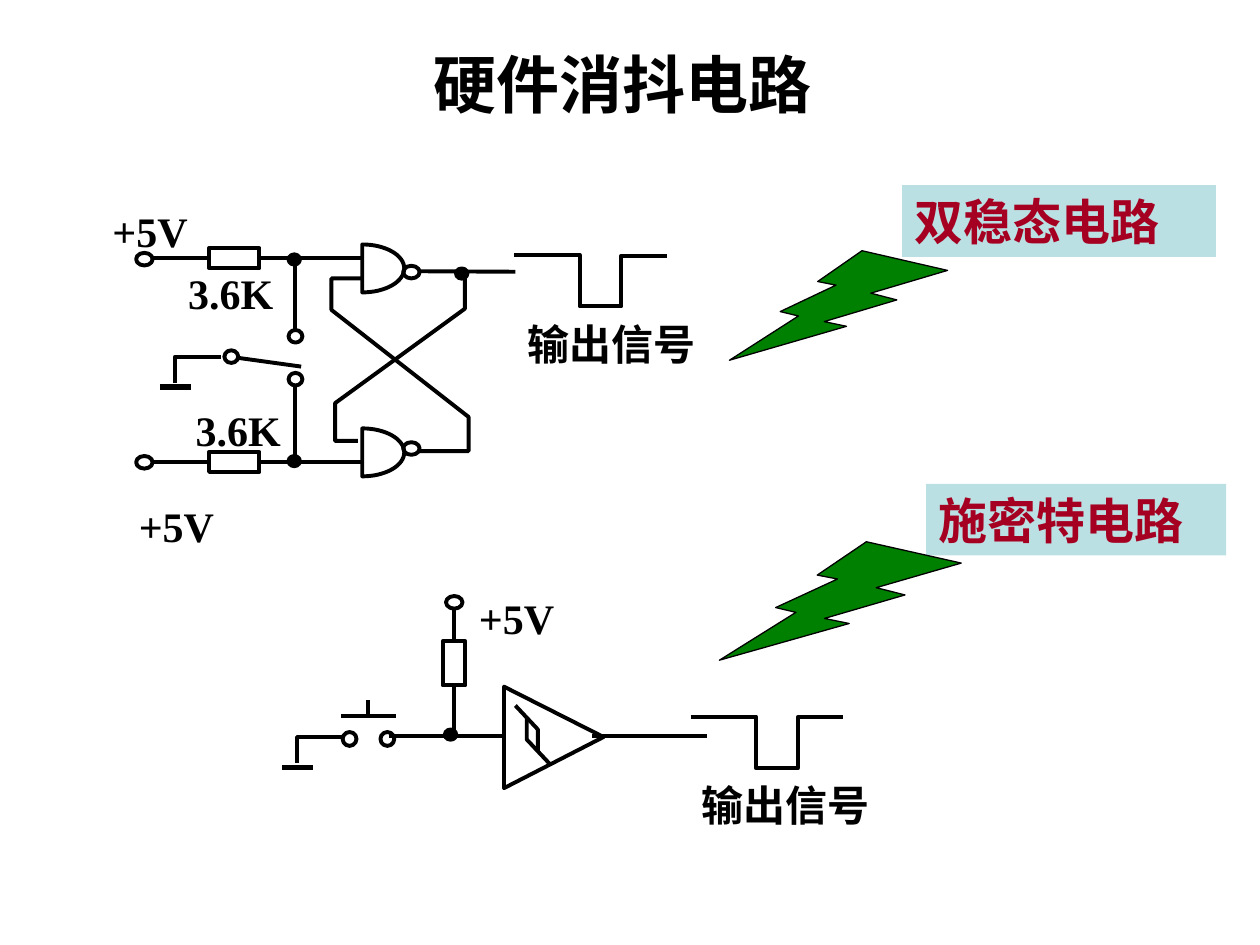
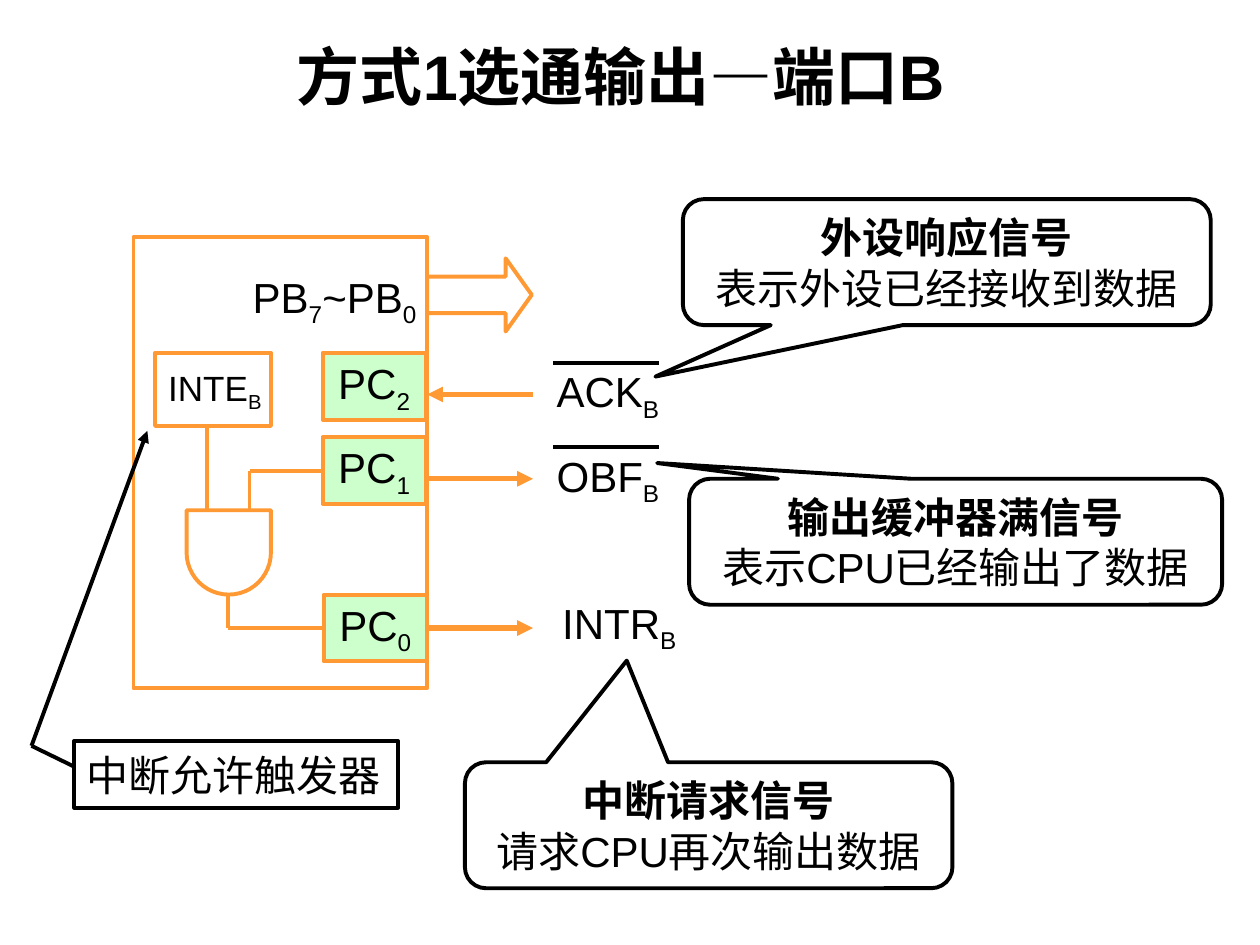
from dataclasses import dataclass, replace
from math import cos, pi, sin

from lxml.etree import SubElement
from pptx import Presentation
from pptx.dml.color import RGBColor
from pptx.enum.shapes import MSO_CONNECTOR, MSO_SHAPE as Geo
from pptx.enum.text import MSO_ANCHOR as Anchor, PP_ALIGN as Align
from pptx.oxml.ns import qn
from pptx.shapes.autoshape import Shape
from pptx.shapes.connector import Connector
from pptx.slide import Slide
from pptx.text.text import TextFrame
from pptx.util import Pt

Point = tuple[float, float]
Joint = tuple[Shape, int]
TOP, LEFT, BOTTOM, RIGHT = range(4)


@dataclass(frozen=True)
class Theme:
    black: str = "000000"
    white: str = "FFFFFF"
    orange: str = "FF9933"
    mint: str = "CCFFCC"
    pale_blue: str = "BBE0E3"
    crimson: str = "A50021"
    green: str = "008000"
    title_size: float = 36
    heading_size: float = 28
    body_size: float = 24
    small_size: float = 20
    hairline: float = 0.75
    line: float = 2.25
    heavy: float = 3


THEME = Theme()


@dataclass(frozen=True)
class TextStyle:
    size: float = THEME.body_size
    font: str = "Arial"
    color: str = THEME.black
    bold: bool = False
    align: Align = Align.CENTER
    anchor: Anchor = Anchor.MIDDLE
    wrap: bool = False
    inset: Point = (7.2, 3.6)


BODY = TextStyle()
SMALL = TextStyle(size=THEME.small_size)
LEFT_BODY = TextStyle(align=Align.LEFT)
TITLE = TextStyle(size=THEME.title_size, bold=True, wrap=True)
PART = TextStyle(font="Times New Roman", bold=True, anchor=Anchor.TOP,
                 wrap=True, inset=(0.72, 0.72))
HEADING = TextStyle(THEME.heading_size, "Roboto", THEME.crimson, True,
                    Align.LEFT, Anchor.TOP, True)


@dataclass(frozen=True)
class Box:
    x: float
    y: float
    w: float
    h: float


@dataclass(frozen=True)
class Label:
    text: str
    box: Box
    style: TextStyle = BODY


@dataclass(frozen=True)
class Callout:
    heading: str
    detail: str
    box: Box
    tip: Point


def emu(box: Box) -> tuple[Pt, Pt, Pt, Pt]:
    return Pt(box.x), Pt(box.y), Pt(box.w), Pt(box.h)


def write(tf: TextFrame, lines: list[str], styles: list[TextStyle]) -> None:
    first = styles[0]
    tf.word_wrap = first.wrap
    tf.vertical_anchor = first.anchor
    tf.margin_left = tf.margin_right = Pt(first.inset[0])
    tf.margin_top = tf.margin_bottom = Pt(first.inset[1])
    for i, (line, style) in enumerate(zip(lines, styles)):
        p = tf.add_paragraph() if i else tf.paragraphs[0]
        p.alignment = style.align
        p.font.name, p.font.size, p.font.bold = style.font, Pt(style.size), style.bold
        p.font.color.rgb = RGBColor.from_string(style.color)
        for n, part in enumerate(line.split("_")):
            if part:
                r = p.add_run()
                r.text = part
                if n % 2:
                    r._r.get_or_add_rPr().set("baseline", "-25000")


def add_label(s: Slide, label: Label) -> None:
    write(s.shapes.add_textbox(*emu(label.box)).text_frame, [label.text], [label.style])


def paint(sp: Shape, fill: str | None, line: str | None, width: float) -> Shape:
    sp.shadow.inherit = False
    if fill:
        sp.fill.solid()
        sp.fill.fore_color.rgb = RGBColor.from_string(fill)
    else:
        sp.fill.background()
    if line:
        sp.line.color.rgb = RGBColor.from_string(line)
        sp.line.width = Pt(width)
    else:
        sp.line.fill.background()
    return sp


def add_geo(s: Slide, geo: Geo, box: Box, fill: str | None = None,
            line: str | None = THEME.black, width: float = THEME.line,
            adjust: tuple[float, ...] = ()) -> Shape:
    sp = s.shapes.add_shape(geo, *emu(box))
    for i, value in enumerate(adjust):
        sp.adjustments[i] = value
    return paint(sp, fill, line, width)


def add_polyline(s: Slide, points: list[Point], close: bool = False) -> None:
    start, *rest = [(Pt(x), Pt(y)) for x, y in points]
    builder = s.shapes.build_freeform(*start)
    builder.add_line_segments(rest, close=close)
    paint(builder.convert_to_shape(), None, THEME.black, THEME.line)


def add_wire(s: Slide, start: Point, end: Point, color: str = THEME.black,
             width: float = THEME.line, arrow: bool = False,
             begin: Joint | None = None, finish: Joint | None = None) -> Connector:
    c = s.shapes.add_connector(MSO_CONNECTOR.STRAIGHT, *map(Pt, start + end))
    c.line.color.rgb = RGBColor.from_string(color)
    c.line.width = Pt(width)
    if arrow:
        SubElement(c.line._get_or_add_ln(), qn("a:tailEnd"), type="triangle")
    SubElement(c._element.spPr, qn("a:effectLst"))
    if begin:
        c.begin_connect(*begin)
    if finish:
        c.end_connect(*finish)
    return c


def add_titled_slide(prs: Presentation, title: str, box: Box) -> Slide:
    s = prs.slides.add_slide(prs.slide_layouts[6])
    add_label(s, Label(title, box, TITLE))
    return s


def add_ground(s: Slide, x: float, y: float) -> None:
    add_polyline(s, [(x, y), (x - 26, y), (x - 26, y + 15)])
    add_wire(s, (x - 34.6, y + 17.4), (x - 17, y + 17.4), width=THEME.heavy)


def add_pulse(s: Slide, x: float, y: float) -> None:
    steps = [(0, 0), (37.4, 0), (37.4, 29.5), (61.2, 29.5), (61.2, 0.5), (87.1, 0.5)]
    add_polyline(s, [(x + dx, y + dy) for dx, dy in steps])


def add_nand(s: Slide, x: float, y: float) -> None:
    angles = [pi * (i / 32 - 0.5) for i in range(33)]
    add_polyline(s, [(x + 24 * cos(a), y + 13.7 * sin(a)) for a in angles], close=True)


def add_input_row(s: Slide, y: float) -> None:
    resistor = add_geo(s, Geo.RECTANGLE, Box(119.5, y - 5.75, 28.8, 11.5))
    add_wire(s, (87.1, y), (119.5, y), finish=(resistor, LEFT))
    add_wire(s, (148.3, y), (206.6, y), begin=(resistor, RIGHT))


def add_callout(s: Slide, callout: Callout) -> None:
    sp = add_geo(s, Geo.ROUNDED_RECTANGULAR_CALLOUT, callout.box,
                 adjust=(*callout.tip, 0.167))
    write(sp.text_frame, [callout.heading, callout.detail],
          [replace(BODY, bold=True), BODY])


def build_debounce(prs: Presentation) -> None:
    s = add_titled_slide(prs, "硬件消抖电路", Box(29.5, 25.9, 653, 43.2))

    for text, x, y in [("+5V", 54, 116.6), ("3.6K", 100.1, 151.9),
                       ("3.6K", 104.4, 230.4), ("+5V", 69.1, 285.1),
                       ("+5V", 263.5, 337.7)]:
        add_label(s, Label(text, Box(x, y, 63.4, 38.2), PART))
    for x, y in [(295.9, 181.4), (395.3, 445)]:
        add_label(s, Label("输出信号", Box(x, y, 106.6, 31), PART))

    terminals = [(77.8, 144.5), (77.8, 260.6), (230.4, 151.9), (230.4, 252.7),
                 (254.9, 340.6)]
    contacts = [(164.9, 188.6), (164.9, 213.1), (128.2, 200.2)]
    buttons = [(195.8, 418.3), (217.4, 418.3)]
    junctions = [(164.9, 145.4), (164.9, 260.6), (260.6, 153.4), (254.2, 416.9)]
    for places, w, h, fill in [(terminals, 9.4, 7.2, None), (contacts, 7.9, 7.2, None),
                               (buttons, 7.9, 7.9, None),
                               (junctions, 6.5, 5.8, THEME.black)]:
        for x, y in places:
            add_geo(s, Geo.OVAL, Box(x, y, w, h), fill)

    for y in (147.6, 264):
        add_input_row(s, y)
    for y in (153.4, 258.5):
        add_nand(s, 207, y)
    add_polyline(s, [(206.6, 159.1), (189.4, 159.1), (189.4, 177.1),
                     (267.8, 238.3), (267.8, 257.8), (239.8, 257.8)])
    add_polyline(s, [(204.5, 252), (191.5, 252), (191.5, 230.4),
                     (265.7, 176.4), (265.7, 155.5)])

    pull_up = add_geo(s, Geo.RECTANGLE, Box(252.9, 366.5, 13, 25.2))
    add_wire(s, (259.4, 347.8), (259.4, 366.5), finish=(pull_up, TOP))
    add_wire(s, (259.4, 391.7), (259.4, 421.2), begin=(pull_up, BOTTOM))

    for start, end in [((239.8, 155), (294.5, 155.3)),
                       ((168.5, 148.3), (168.5, 188.6)),
                       ((168.5, 263.5), (168.5, 221)),
                       ((172.1, 209.5), (136.1, 204.5)),
                       ((222.5, 420.5), (288, 420.5)),
                       ((195.1, 409), (226.1, 409)),
                       ((210.2, 400.3), (210.2, 409.7)),
                       ((338.4, 420.5), (403.9, 420.5))]:
        add_wire(s, start, end)

    add_polyline(s, [(288, 392.4), (344.9, 421.2), (288, 450.4)], close=True)
    add_polyline(s, [(294.5, 403.2), (307.4, 416.9), (307.4, 429.8)])
    add_polyline(s, [(313.9, 436.3), (301, 422.6), (301, 410.4)])
    add_ground(s, 126, 203.8)
    add_ground(s, 195.8, 421.2)
    add_pulse(s, 293.8, 145.6)
    add_pulse(s, 394.6, 409.5)

    for text, box, bolt_box in [
            ("双稳态电路", Box(515.5, 105.8, 179.3, 41), Box(416.9, 143.3, 124.6, 62.6)),
            ("施密特电路", Box(529.2, 276.5, 171.4, 41), Box(411.1, 309.6, 138.2, 67.7))]:
        sp = add_geo(s, Geo.RECTANGLE, box, THEME.pale_blue, None)
        write(sp.text_frame, [text], [HEADING])
        bolt = add_geo(s, Geo.LIGHTNING_BOLT, bolt_box, THEME.green,
                       width=THEME.hairline)
        bolt._element.spPr.get_or_add_xfrm().set("flipH", "1")


def build_port_b(prs: Presentation) -> None:
    s = add_titled_slide(prs, "方式1选通输出—端口B", Box(14.4, 15.1, 680.4, 55.4))
    orange = THEME.orange

    add_geo(s, Geo.RECTANGLE, Box(76.3, 135.4, 167.8, 257.8), THEME.white, orange)
    pins = []
    for text, x, y in [("PC_2", 184.3, 201.6), ("PC_1", 184.3, 249.8),
                       ("PC_0", 185, 339.8)]:
        pin = add_geo(s, Geo.RECTANGLE, Box(x, y, 59, 38.2), THEME.mint, orange)
        write(pin.text_frame, [text], [BODY])
        pins.append(pin)
    _, pc1, pc0 = pins

    add_geo(s, Geo.RIGHT_ARROW, Box(244.1, 147.6, 59.8, 41.8), line=orange,
            adjust=(0.5, 0.357))
    add_geo(s, Geo.RECTANGLE, Box(88.6, 201.6, 66.2, 41.8), line=orange)
    and_gate = add_geo(s, Geo.FLOWCHART_DELAY, Box(106.6, 291.6, 48.2, 48.2), line=orange)
    and_gate.rotation = 90

    add_wire(s, (130.3, 339.8), (130.3, 358.9), orange)
    add_wire(s, (185, 358.9), (130.3, 358.9), orange, begin=(pc0, LEFT))
    add_wire(s, (118.1, 243.4), (118.1, 291.6), orange)
    add_wire(s, (142.6, 268.9), (184.3, 268.9), orange, finish=(pc1, LEFT))
    add_wire(s, (142.6, 268.9), (142.6, 291.6), orange)
    add_wire(s, (244.1, 358.9), (304.6, 358.9), orange, THEME.heavy, True,
             begin=(pc0, RIGHT))
    add_wire(s, (244.1, 273.6), (304.6, 273.6), orange, THEME.heavy, True)
    add_wire(s, (304.6, 225.4), (244.1, 225.4), orange, THEME.heavy, True)

    for label in [Label("PB_7_~PB_0", Box(136.1, 153.4, 110.2, 36)),
                  Label("INTE_B", Box(88.6, 207.4, 68.4, 31), SMALL),
                  Label("ACK_B", Box(310.3, 207.4, 74.2, 36)),
                  Label("OBF_B", Box(310.3, 255.6, 74.2, 36)),
                  Label("INTR_B", Box(313.2, 339.8, 81.4, 36))]:
        add_label(s, label)
    for y in (207.4, 255.6):
        add_wire(s, (316.1, y), (376.6, y))

    for callout in [
            Callout("外设响应信号", "表示外设已经接收到数据",
                    Box(390.2, 113.8, 301.7, 72), (-0.552, 0.909)),
            Callout("输出缓冲器满信号", "表示CPU已经输出了数据",
                    Box(393.8, 273.6, 304.6, 72), (-0.56, -0.625)),
            Callout("中断请求信号", "请求CPU再次输出数据",
                    Box(265.7, 435.6, 278.6, 72), (-0.168, -1.307))]:
        add_callout(s, callout)

    flip_flop = add_geo(s, Geo.RECTANGLE, Box(42.5, 423.4, 185, 38.2))
    write(flip_flop.text_frame, ["中断允许触发器"], [LEFT_BODY])
    add_wire(s, (18, 426.2), (84.2, 246.2), arrow=True)
    add_wire(s, (18, 426.2), (41.8, 437.8))


def main() -> None:
    prs = Presentation()
    prs.slide_width, prs.slide_height = Pt(720), Pt(540)
    build_debounce(prs)
    build_port_b(prs)
    prs.save("out.pptx")


if __name__ == "__main__":
    main()
